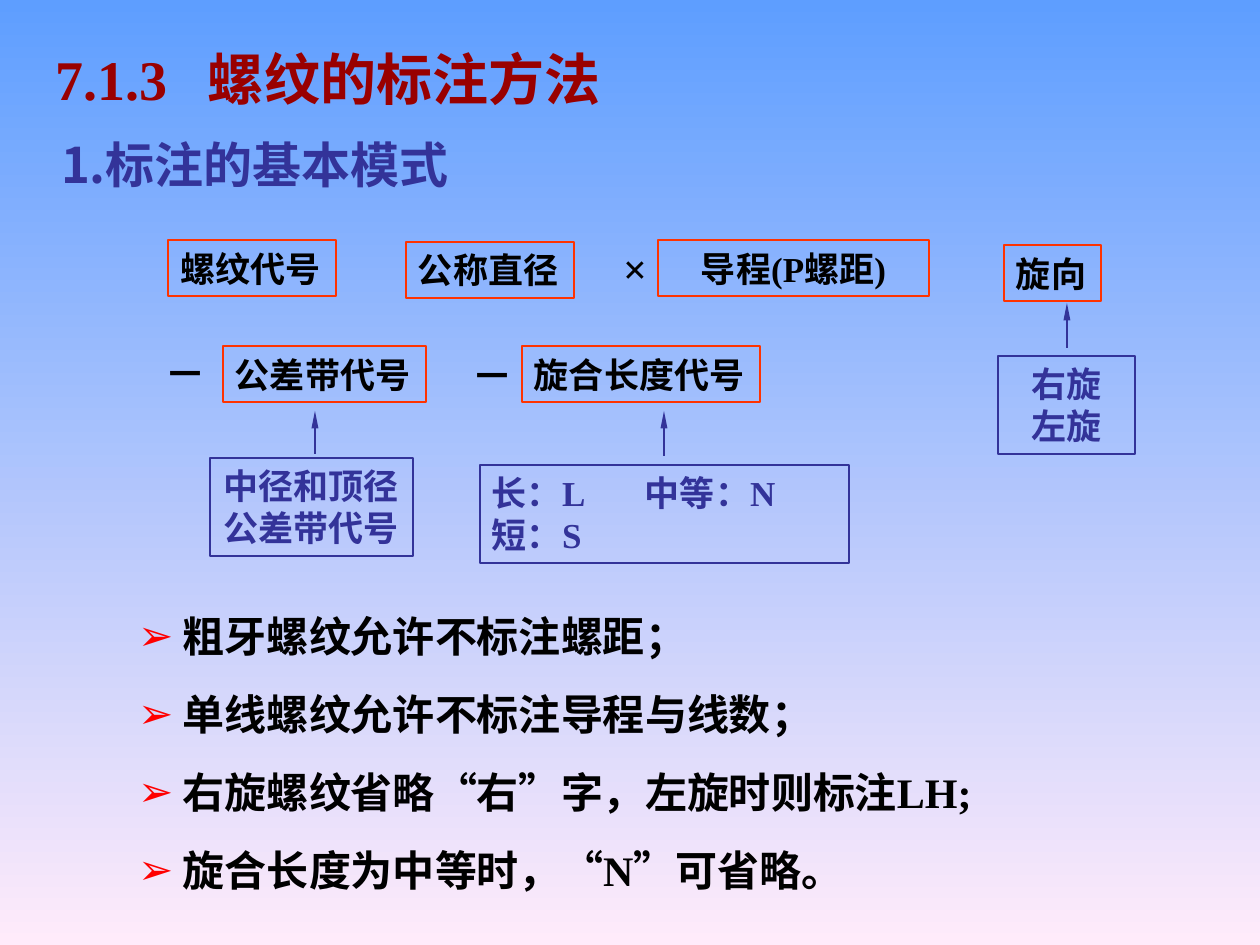
from dataclasses import dataclass

from lxml.etree import SubElement
from pptx import Presentation
from pptx.dml.color import RGBColor
from pptx.enum.shapes import MSO_CONNECTOR, MSO_SHAPE
from pptx.enum.text import MSO_ANCHOR, MSO_AUTO_SIZE, PP_ALIGN
from pptx.oxml.ns import qn
from pptx.util import Pt

PX = 914400 // 126


@dataclass(frozen=True)
class Theme:
    latin: str = "Times New Roman"
    chinese: str = "Noto Sans CJK SC"
    sky: str = "5E9EFF"
    blush: str = "FFEBFA"
    heading: str = "990000"
    note: str = "333399"
    code: str = "FF3300"
    bullet: str = "FF0000"
    ink: str = "000000"
    title_size: int = 32
    section_size: int = 28
    list_size: int = 24
    label_size: int = 20
    line_width: int = 1


THEME = Theme()
TAB_STOP = 153
LIST_INDENT = 45
LIST_PITCH = 78

# Each code field: text, box, alignment
CODES = [
    ("螺纹代号", (168, 240, 168, 56), PP_ALIGN.LEFT),
    ("公称直径", (406, 242, 168, 56), PP_ALIGN.LEFT),
    ("导程(P螺距)", (658, 240, 271, 56), PP_ALIGN.CENTER),
    ("旋向", (1004, 245, 97, 56), PP_ALIGN.LEFT),
    ("公差带代号", (223, 346, 203, 56), PP_ALIGN.LEFT),
    ("旋合长度代号", (522, 346, 238, 56), PP_ALIGN.LEFT),
]
SIGNS = [
    ("×", (601, 236, 68, 63)),
    ("－", (152, 341, 68, 63)),
    ("－", (458, 343, 68, 63)),
]
# Each note: lines, box, alignment, arrow x, arrow bottom and arrow top from the box corner
NOTES = [
    (["右旋", "左旋"], (998, 356, 137, 98), PP_ALIGN.CENTER, (69, -8, -53)),
    (["长：L\t中等：N", "短：S"], (480, 465, 369, 98), PP_ALIGN.LEFT, (184, -9, -54)),
    (["中径和顶径", "公差带代号"], (210, 458, 203, 98), PP_ALIGN.CENTER, (105, -4, -47)),
]
RULES = [
    "粗牙螺纹允许不标注螺距；",
    "单线螺纹允许不标注导程与线数；",
    "右旋螺纹省略“右”字，左旋时则标注LH;",
    "旋合长度为中等时，“N”可省略。",
]


def rgb(color):
    return RGBColor.from_string(color)


def emu(box):
    return [value * PX for value in box]


def move(shape, box):
    shape.left, shape.top, shape.width, shape.height = emu(box)


def add_tab(paragraph):
    tabs = SubElement(paragraph._p.get_or_add_pPr(), qn("a:tabLst"))
    SubElement(tabs, qn("a:tab"), pos=str(TAB_STOP * PX), algn="l")


def add_bullet(paragraph):
    properties = paragraph._p.get_or_add_pPr()
    properties.set("marL", str(LIST_INDENT * PX))
    properties.set("indent", str(-LIST_INDENT * PX))
    color = SubElement(properties, qn("a:buClr"))
    SubElement(color, qn("a:srgbClr"), val=THEME.bullet)
    SubElement(properties, qn("a:buChar"), char="➢")


def write(shape, lines, size, color, align=PP_ALIGN.LEFT, latin=THEME.latin,
          bulleted=False, anchor=MSO_ANCHOR.MIDDLE):
    frame = shape.text_frame
    frame.word_wrap = True
    frame.auto_size = MSO_AUTO_SIZE.NONE
    frame.vertical_anchor = anchor
    frame.margin_left = frame.margin_right = 12 * PX
    frame.margin_top = frame.margin_bottom = 5 * PX
    for index, line in enumerate(lines):
        paragraph = frame.add_paragraph() if index else frame.paragraphs[0]
        if bulleted:
            add_bullet(paragraph)
            paragraph.line_spacing = Pt(round(LIST_PITCH * 72 / 126, 1))
            paragraph.space_before = Pt(0)
        if "\t" in line:
            add_tab(paragraph)
        paragraph.alignment = align
        run = paragraph.add_run()
        run.text = line
        run.font.size = Pt(size)
        run.font.bold = True
        run.font.color.rgb = rgb(color)
        run.font.name = latin
        SubElement(run._r.get_or_add_rPr(), qn("a:ea"), typeface=THEME.chinese)


def add_frame(shapes, lines, box, border, ink, align):
    frame = shapes.add_shape(MSO_SHAPE.RECTANGLE, *emu(box))
    frame.shadow.inherit = False
    frame.fill.background()
    frame.line.color.rgb = rgb(border)
    frame.line.width = Pt(THEME.line_width)
    write(frame, lines, THEME.label_size, ink, align)


def add_arrow(shapes, x, bottom, top):
    arrow = shapes.add_connector(MSO_CONNECTOR.STRAIGHT, *emu((x, bottom, x, top)))
    arrow.line.color.rgb = rgb(THEME.note)
    arrow.line.width = Pt(THEME.line_width)
    SubElement(arrow.line._get_or_add_ln(), qn("a:tailEnd"), type="triangle", w="sm", len="lg")
    SubElement(arrow._element.spPr, qn("a:effectLst"))


def add_note(slide, lines, box, align, arrow):
    """Group a note with the arrow that points up to its code field."""
    shapes = slide.shapes.add_group_shape().shapes
    left, top = box[:2]
    x, start, end = arrow
    add_frame(shapes, lines, box, THEME.note, THEME.note, align)
    add_arrow(shapes, left + x, top + start, top + end)


def paint_background(slide):
    fill = slide.background.fill
    fill.gradient()
    fill.gradient_angle = 270
    for stop, color, position in zip(fill.gradient_stops, (THEME.sky, THEME.blush), (0, 1)):
        stop.color.rgb = rgb(color)
        stop.position = position


def add_headings(slide, title_box, section_box):
    title = slide.shapes.title
    move(title, title_box)
    write(title, ["7.1.3\t螺纹的标注方法"], THEME.title_size, THEME.heading)
    section = slide.shapes.add_textbox(*emu(section_box))
    write(section, ["1.标注的基本模式"], THEME.section_size, THEME.note, latin=THEME.chinese)


def add_pattern(slide):
    """Lay out the code fields, the signs between them and their notes."""
    for text, box, align in CODES:
        add_frame(slide.shapes, [text], box, THEME.code, THEME.ink, align)
    for text, box in SIGNS:
        sign = slide.shapes.add_textbox(*emu(box))
        write(sign, [text], THEME.list_size, THEME.ink, PP_ALIGN.CENTER)
    for note in NOTES:
        add_note(slide, *note)


def add_rules(slide, box):
    rules = slide.placeholders[1]
    move(rules, box)
    write(rules, RULES, THEME.list_size, THEME.ink, bulleted=True, anchor=MSO_ANCHOR.TOP)


def main():
    deck = Presentation()
    deck.slide_width, deck.slide_height = emu((1260, 945))
    slide = deck.slides.add_slide(deck.slide_layouts[1])
    paint_background(slide)
    add_headings(slide, (43, 42, 764, 72), (49, 132, 563, 63))
    add_pattern(slide)
    add_rules(slide, (126, 578, 900, 4 * LIST_PITCH + 10))
    deck.save("out.pptx")


if __name__ == "__main__":
    main()
